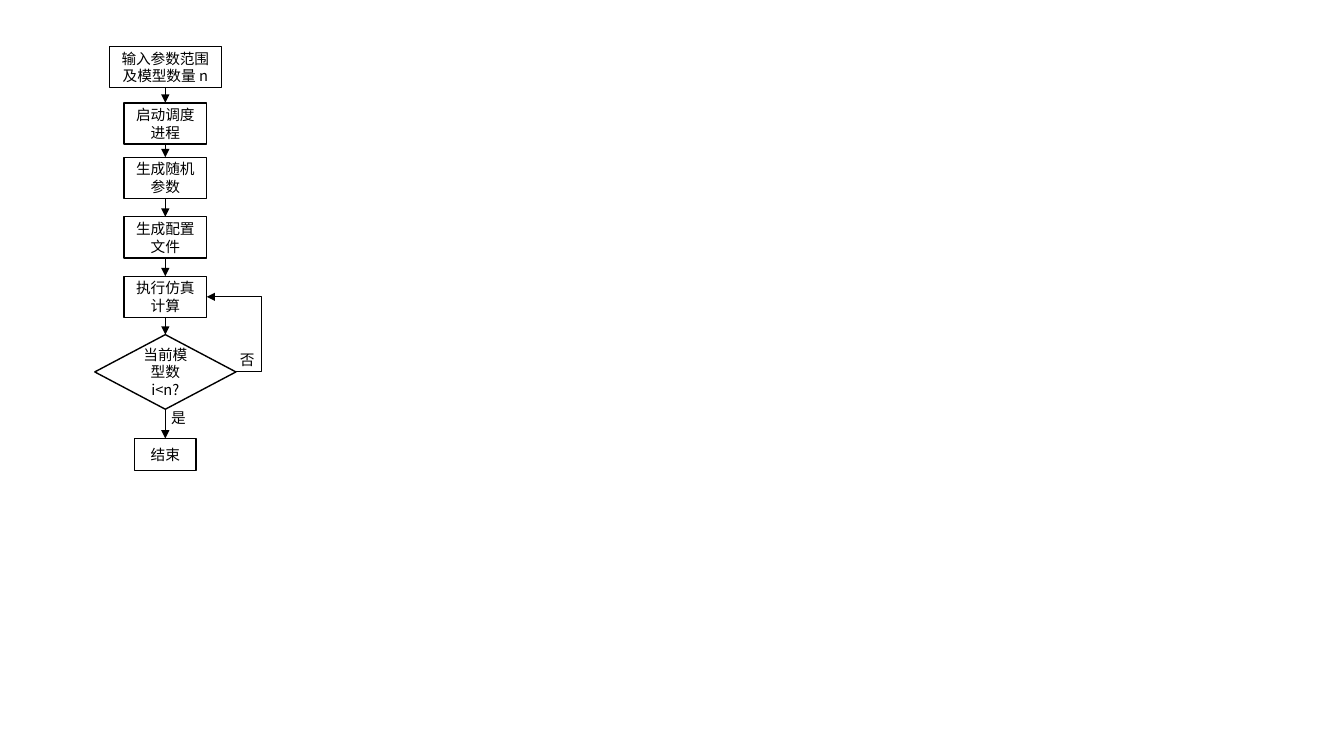
from lxml.etree import SubElement
from pptx import Presentation
from pptx.dml.color import RGBColor
from pptx.enum.shapes import MSO_CONNECTOR, MSO_SHAPE
from pptx.enum.text import MSO_ANCHOR, MSO_AUTO_SIZE, PP_ALIGN
from pptx.oxml.ns import qn
from pptx.util import Inches, Pt

COLORS = {"ink": "000000", "paper": "FFFFFF"}
FONT = "Noto Sans CJK SC"
CENTER = 1.64
LOOP_X = 2.59
RECT, DECISION = MSO_SHAPE.RECTANGLE, MSO_SHAPE.FLOWCHART_DECISION

# text, shape, top, width, height
STEPS = [
    ("输入参数范围及模型数量 n", RECT, 0.46, 1.11, 0.41),
    ("启动调度进程", RECT, 1.02, 0.82, 0.41),
    ("生成随机参数", RECT, 1.56, 0.82, 0.41),
    ("生成配置文件", RECT, 2.15, 0.82, 0.41),
    ("执行仿真计算", RECT, 2.74, 0.82, 0.41),
    ("当前模型数i<n?", DECISION, 3.32, 1.4, 0.74),
    ("结束", RECT, 4.35, 0.61, 0.32),
]
# text, left, top
BRANCH_LABELS = [("是", 1.6, 4.01), ("否", 2.28, 3.43)]


def color(name):
    """Return the named colour."""
    return RGBColor.from_string(COLORS[name])


def write(shape, text, align):
    """Put one formatted paragraph into a shape."""
    para = shape.text_frame.paragraphs[0]
    para.text = text
    para.alignment = align
    para.font.size = Pt(10.5)
    para.font.color.rgb = color("ink")
    para.font.name = FONT
    properties = para.font._element if hasattr(para.font, "_element") else para._p.pPr.defRPr
    SubElement(properties, qn("a:ea"), typeface=FONT)


def add_step(slide, text, kind, top, width, height):
    """Add one outlined step on the centre line."""
    box = slide.shapes.add_shape(kind, Inches(CENTER - width / 2), Inches(top),
                                 Inches(width), Inches(height))
    box.shadow.inherit = False
    box.fill.solid()
    box.fill.fore_color.rgb = color("paper")
    box.line.color.rgb = color("ink")
    box.line.width = Pt(1)
    box.text_frame.word_wrap = True
    box.text_frame.vertical_anchor = MSO_ANCHOR.MIDDLE
    write(box, text, PP_ALIGN.CENTER)
    return box


def add_arrow(slide, kind, start, end):
    """Add a thin connector with a triangle at its end."""
    arrow = slide.shapes.add_connector(kind, *start, *end)
    arrow.line.color.rgb = color("ink")
    arrow.line.width = Pt(0.5)
    SubElement(arrow.line._get_or_add_ln(), qn("a:tailEnd"), type="triangle")
    SubElement(arrow._element.spPr, qn("a:effectLst"))
    return arrow


def add_loop(slide, source, target):
    """Lead from the right of source round to the right of target."""
    start, end = [(box.left + box.width, box.top + box.height // 2)
                  for box in (source, target)]
    loop = add_arrow(slide, MSO_CONNECTOR.ELBOW, start, end)
    bend = (start[0] - Inches(LOOP_X)) / (start[0] - end[0])
    guides = loop._element.spPr.find(qn("a:prstGeom")).get_or_add_avLst()
    SubElement(guides, qn("a:gd"), name="adj1", fmla=f"val {round(bend * 100000)}")


def add_label(slide, text, left, top):
    """Add the label of a branch."""
    label = slide.shapes.add_textbox(Inches(left), Inches(top), Inches(0.35), Inches(0.28))
    label.text_frame.word_wrap = False
    label.text_frame.auto_size = MSO_AUTO_SIZE.SHAPE_TO_FIT_TEXT
    write(label, text, PP_ALIGN.LEFT)


deck = Presentation()
deck.slide_width, deck.slide_height = Inches(13.33), Inches(7.5)
page = deck.slides.add_slide(deck.slide_layouts[6])

boxes = [add_step(page, *step) for step in STEPS]
for upper, lower in zip(boxes, boxes[1:]):
    link = add_arrow(page, MSO_CONNECTOR.STRAIGHT,
                     (Inches(CENTER), upper.top + upper.height), (Inches(CENTER), lower.top))
    link.begin_connect(upper, 2)
    link.end_connect(lower, 0)
add_loop(page, boxes[5], boxes[4])
for branch in BRANCH_LABELS:
    add_label(page, *branch)

deck.save("out.pptx")
